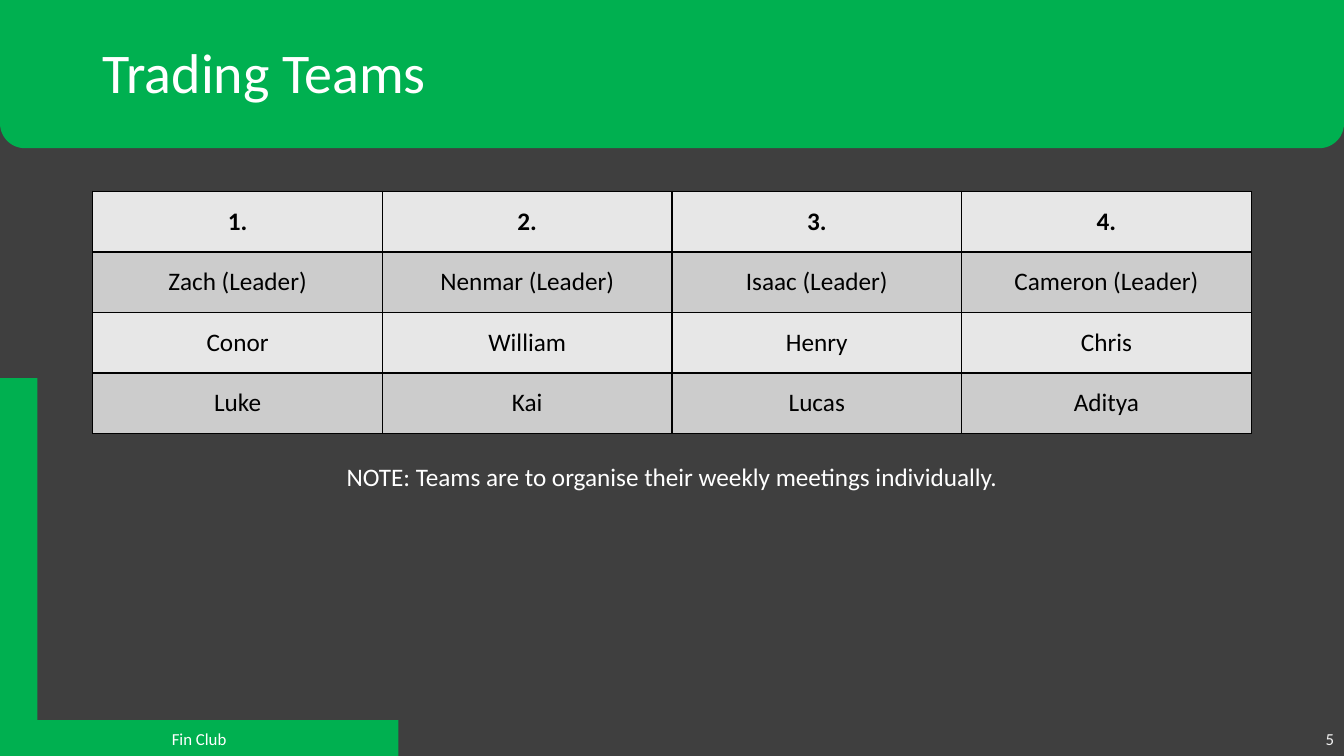
from lxml.etree import SubElement
from pptx import Presentation
from pptx.dml.color import RGBColor
from pptx.enum.shapes import MSO_SHAPE
from pptx.enum.text import MSO_ANCHOR, MSO_AUTO_SIZE, PP_ALIGN
from pptx.oxml.ns import qn
from pptx.util import Inches, Pt

TITLE = "Trading Teams"
TEAMS = [
    ("1.", "Zach (Leader)", "Conor", "Luke"),
    ("2.", "Nenmar (Leader)", "William", "Kai"),
    ("3.", "Isaac (Leader)", "Henry", "Lucas"),
    ("4.", "Cameron (Leader)", "Chris", "Aditya"),
]
NOTE = "NOTE: Teams are to organise their weekly meetings individually."
FOOTER = "Fin Club"
SLIDE_NUMBER = "5"

FONT = "Calibri"
GREEN = RGBColor(0x00, 0xB0, 0x50)
CHARCOAL = RGBColor(0x3F, 0x3F, 0x3F)
WHITE = RGBColor(0xFF, 0xFF, 0xFF)
OFF_WHITE = RGBColor(0xF2, 0xF2, 0xF2)
BLACK = RGBColor(0x00, 0x00, 0x00)
ROW_FILLS = (RGBColor(0xE7, 0xE7, 0xE7), RGBColor(0xCC, 0xCC, 0xCC))

WIDTH, HEIGHT = Inches(13.33), Inches(7.5)
MARGIN = Inches(0.92)
CONTENT_WIDTH = WIDTH - 2 * MARGIN
BANNER_HEIGHT = Inches(1.47)
TABLE_TOP, ROW_HEIGHT = Inches(1.9), Inches(0.6)
FOOTER_HEIGHT = Inches(0.34)
FOOTER_TOP = HEIGHT - FOOTER_HEIGHT
CORNER_WIDTH = Inches(3.95)
FOOTER_WIDTH = Inches(1.24)
NUMBER_WIDTH = Inches(0.43)


def write(frame, text, size, color, align, bold=False):
    paragraph = frame.paragraphs[0]
    paragraph.alignment = align
    run = paragraph.add_run()
    run.text = text
    run.font.name = FONT
    run.font.size = Pt(size)
    run.font.bold = bold
    run.font.color.rgb = color
    return paragraph


def add_text(box, text, size, color, align, anchor=MSO_ANCHOR.MIDDLE):
    frame = slide.shapes.add_textbox(*box).text_frame
    frame.word_wrap = True
    frame.vertical_anchor = anchor
    write(frame, text, size, color, align)
    return frame


def add_green_shape(kind, box, adjustments):
    shape = slide.shapes.add_shape(kind, *box)
    shape.shadow.inherit = False
    shape.fill.solid()
    shape.fill.fore_color.rgb = GREEN
    shape.line.fill.background()
    for index, value in enumerate(adjustments):
        shape.adjustments[index] = value
    return shape


def add_borders(cell):
    properties = cell._tc.get_or_add_tcPr()
    for side in ("a:lnL", "a:lnR", "a:lnT", "a:lnB"):
        line = SubElement(properties, qn(side), w=str(Pt(1)))
        fill = SubElement(line, qn("a:solidFill"))
        SubElement(fill, qn("a:srgbClr"), val=str(BLACK))


presentation = Presentation()
presentation.slide_width, presentation.slide_height = WIDTH, HEIGHT
slide = presentation.slides.add_slide(presentation.slide_layouts[5])
slide.background.fill.solid()
slide.background.fill.fore_color.rgb = CHARCOAL

add_green_shape(MSO_SHAPE.CORNER,
                (0, HEIGHT // 2, CORNER_WIDTH, HEIGHT // 2), (0.095, 0.099))
banner = add_green_shape(MSO_SHAPE.ROUND_2_SAME_RECTANGLE,
                         (0, 0, WIDTH, BANNER_HEIGHT), ())
banner.rotation = 180

add_text(((CORNER_WIDTH - FOOTER_WIDTH) // 2, FOOTER_TOP, FOOTER_WIDTH, FOOTER_HEIGHT),
         FOOTER, 12, WHITE, PP_ALIGN.CENTER)
add_text((WIDTH - NUMBER_WIDTH, FOOTER_TOP, NUMBER_WIDTH, FOOTER_HEIGHT),
         SLIDE_NUMBER, 12, OFF_WHITE, PP_ALIGN.RIGHT)

title = slide.shapes.title
title.left, title.top = MARGIN, Inches(0.02)
title.width, title.height = CONTENT_WIDTH, Inches(1.45)
title.text_frame.auto_size = MSO_AUTO_SIZE.NONE
title.text_frame.vertical_anchor = MSO_ANCHOR.MIDDLE
write(title.text_frame, TITLE, 40, WHITE, PP_ALIGN.LEFT).line_spacing = 0.9
slide.shapes.element.append(title.element)

rows = list(zip(*TEAMS))
table = slide.shapes.add_table(len(rows), len(TEAMS), MARGIN, TABLE_TOP,
                               CONTENT_WIDTH, ROW_HEIGHT * len(rows)).table
for row_index, row in enumerate(rows):
    for column_index, text in enumerate(row):
        cell = table.cell(row_index, column_index)
        add_borders(cell)
        cell.fill.solid()
        cell.fill.fore_color.rgb = ROW_FILLS[row_index % 2]
        cell.vertical_anchor = MSO_ANCHOR.MIDDLE
        write(cell.text_frame, text, 18, BLACK, PP_ALIGN.CENTER, row_index == 0)

note = add_text((MARGIN, Inches(4.53), CONTENT_WIDTH, Inches(0.4)),
                NOTE, 18, WHITE, PP_ALIGN.CENTER, MSO_ANCHOR.TOP)
note.auto_size = MSO_AUTO_SIZE.SHAPE_TO_FIT_TEXT

presentation.save("out.pptx")
